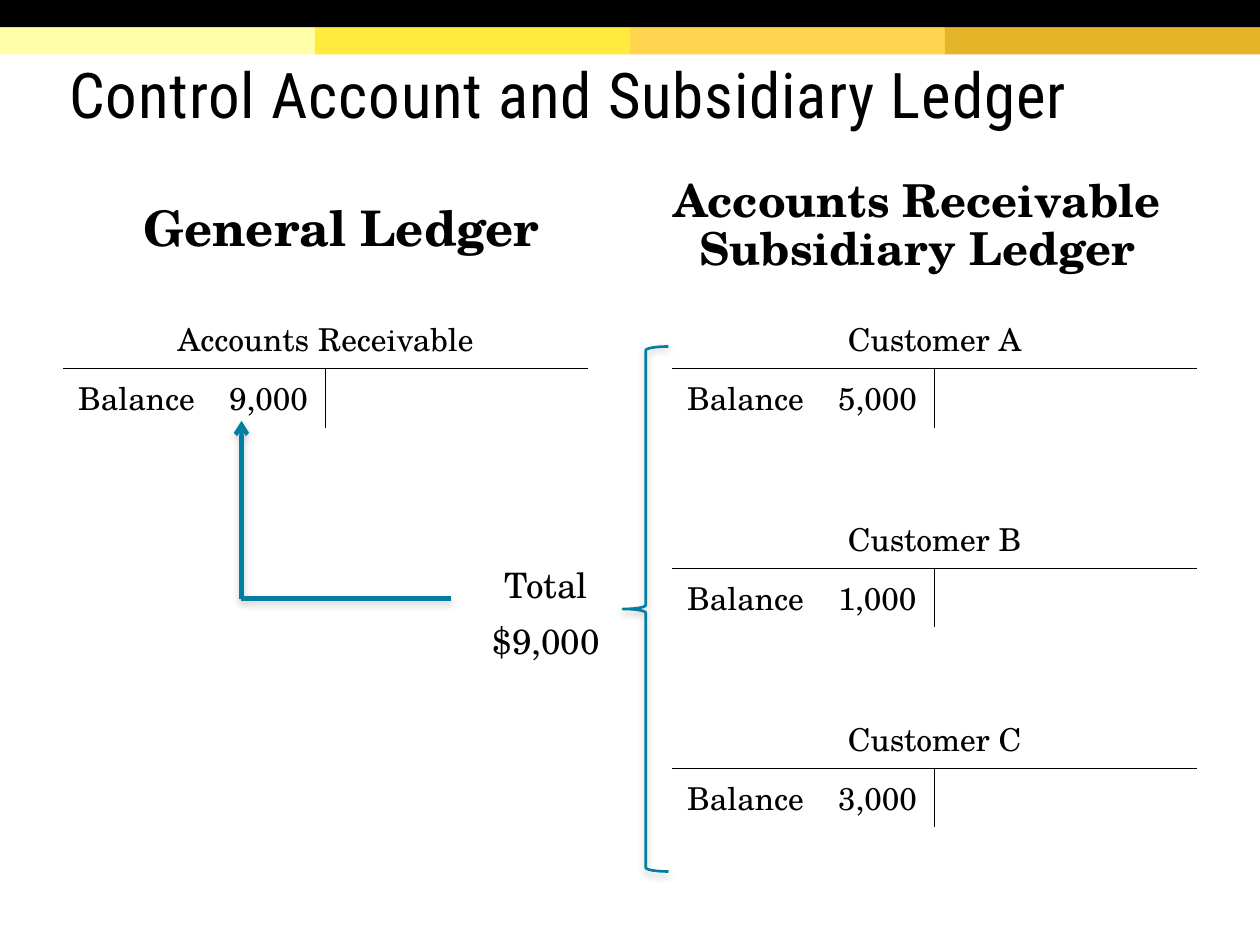
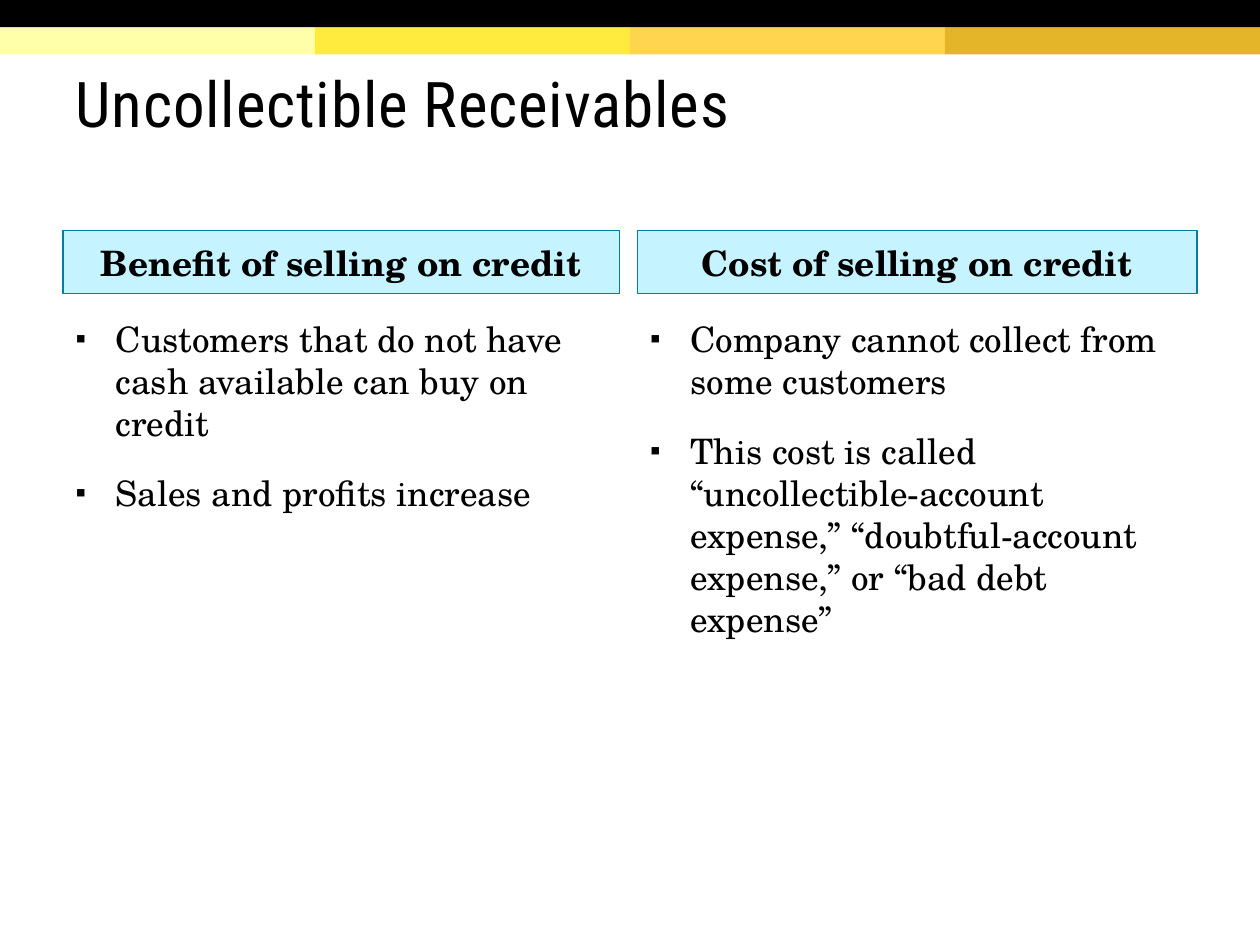
import pptx
import pptx.util
import pptx.dml.color
import pptx.enum.shapes
import pptx.enum.text
import pptx.oxml
import pptx.oxml.ns
from dataclasses import dataclass

Pt = pptx.util.Pt
ALIGN = pptx.enum.text.PP_ALIGN
ANCHOR = pptx.enum.text.MSO_ANCHOR
SHAPE = pptx.enum.shapes.MSO_SHAPE

LEDGER_TITLE = "Control Account and Subsidiary Ledger"
GENERAL_HEADING = "General Ledger"
SUBSIDIARY_HEADING = "Accounts Receivable Subsidiary Ledger"
CONTROL_ACCOUNT = ("Accounts Receivable", "9,000")
CUSTOMERS = [("Customer A", "5,000"), ("Customer B", "1,000"), ("Customer C", "3,000")]
TOTAL = ["Total", "$9,000"]

CREDIT_TITLE = "Uncollectible Receivables"
CREDIT_COLUMNS = [
    ("Benefit of selling on credit", [
        "Customers that do not have cash available can buy on credit",
        "Sales and profits increase",
    ]),
    ("Cost of selling on credit", [
        "Company cannot collect from some customers",
        "This cost is called “uncollectible-account expense,” “doubtful-account expense,” "
        "or “bad debt expense”",
    ]),
]


@dataclass(frozen=True)
class Theme:
    title_font: str = "Roboto Condensed"
    body_font: str = "TeX Gyre Schola"
    black: str = "000000"
    accent: str = "007FA3"
    pale: str = "C5F3FF"
    bands: tuple = ("FFFFAA", "FFEA3D", "FFD54F", "E4B429")
    title_size: float = 36
    heading_size: float = 28
    long_heading_size: float = 25.9
    body_size: float = 20
    table_size: float = 18


THEME = Theme()
PAGE_WIDTH, PAGE_HEIGHT = 720, 540
BAND_HEIGHT = 15.6
COLUMNS = [(36, 318.2), (364.3, 319.7)]
ACCOUNT_COLUMNS = (149.6, 150.6)
ACCOUNT_ROW = 33.5
ACCOUNT_TOP, ACCOUNT_STEP = 177, 114.1
CONTROL_LEFT, CUSTOMER_LEFT = 36, 384
AMOUNT_TAB = 86.3


def color(value):
    return pptx.dml.color.RGBColor.from_string(value)


def add_xml(parent, markup, index=None):
    root, rest = markup.split(" ", 1) if " " in markup.split(">")[0] else markup.split(">", 1)
    namespace = pptx.oxml.ns.nsdecls("a")
    joint = " " if " " in markup.split(">")[0] else ">"
    element = pptx.oxml.parse_xml(f"{root} {namespace}{joint}{rest}")
    parent.insert(len(parent) if index is None else index, element)


def place(shape, left, top, width, height):
    shape.left, shape.top, shape.width, shape.height = Pt(left), Pt(top), Pt(width), Pt(height)


def style_runs(para, size, font=THEME.body_font, bold=False):
    for span in para.runs:
        span.font.name = font
        span.font.size = Pt(size)
        span.font.bold = bold
        span.font.color.rgb = color(THEME.black)


def write_lines(box, lines, size, align=ALIGN.CENTER, anchor=ANCHOR.TOP, before=0, after=8,
                spacing=1.0, font=THEME.body_font, bold=False, bullet=False):
    frame = box.text_frame
    frame.text = "\n".join(lines)
    frame.word_wrap = True
    frame.auto_size = pptx.enum.text.MSO_AUTO_SIZE.NONE
    frame.vertical_anchor = anchor
    for number, para in enumerate(frame.paragraphs):
        para.alignment = align
        para.line_spacing = spacing
        para.space_before = Pt(before if number else 0)
        para.space_after = Pt(after)
        properties = para._p.get_or_add_pPr()
        indent = Pt(23) if bullet else 0
        properties.set("marL", str(indent))
        properties.set("indent", str(-indent))
        if bullet:
            add_xml(properties, f'<a:buClr><a:srgbClr val="{THEME.black}"/></a:buClr>')
            add_xml(properties, '<a:buSzPct val="85000"/>')
            add_xml(properties, '<a:buChar char="▪"/>')
        else:
            add_xml(properties, "<a:buNone />")
        style_runs(para, size, font, bold)


def add_bands(deck, page):
    width = PAGE_WIDTH / len(THEME.bands)
    bands = [(number * width, BAND_HEIGHT, width, fill) for number, fill in enumerate(THEME.bands)]
    bands.append((0, 0, PAGE_WIDTH, THEME.black))
    for number, (left, top, span, fill) in enumerate(bands):
        band = page.shapes.add_shape(SHAPE.RECTANGLE, Pt(left), Pt(top), Pt(span), Pt(BAND_HEIGHT))
        band.shadow.inherit = False
        band.fill.solid()
        band.fill.fore_color.rgb = color(fill)
        band.line.fill.background()
        band.element.xpath("p:nvSpPr/p:cNvPr")[0].set("id", str(100 + number))
        deck.slide_master.shapes.element.append(band.element)


def add_page(deck, title, top, height, left=36):
    page = deck.slides.add_slide(deck.slide_layouts.get_by_name("Comparison"))
    box = page.shapes.title
    place(box, left, top, 648, height)
    write_lines(box, [title], THEME.title_size, ALIGN.LEFT, ANCHOR.MIDDLE, after=0,
                spacing=0.85, font=THEME.title_font)
    box.text_frame.margin_top = Pt(7.2)
    for span in box.text_frame.paragraphs[0].runs:
        span._r.get_or_add_rPr().set("spc", "50")
    return page


def placeholder(page, number):
    return next(box for box in page.placeholders if box.placeholder_format.idx == number)


def set_borders(cell, visible):
    cell.fill.background()
    properties = cell._tc.get_or_add_tcPr()
    for index, side in enumerate("LRTB"):
        paint = (f'<a:solidFill><a:srgbClr val="{THEME.black}"/></a:solidFill>'
                 if side in visible else "<a:noFill/>")
        add_xml(properties, f'<a:ln{side} w="{Pt(0.25)}">{paint}</a:ln{side}>', index)


def add_account(page, left, top, account):
    name, amount = account
    frame = page.shapes.add_table(2, 2, Pt(left), Pt(top), Pt(sum(ACCOUNT_COLUMNS)), Pt(2 * ACCOUNT_ROW))
    table = frame.table
    table.first_row = table.horz_banding = False
    for column, width in zip(table.columns, ACCOUNT_COLUMNS):
        column.width = Pt(width)
    for row in table.rows:
        row.height = Pt(ACCOUNT_ROW)
    for row, column, sides in [(0, 0, "B"), (0, 1, "B"), (1, 0, "TR"), (1, 1, "TL")]:
        set_borders(table.cell(row, column), sides)
    header, balance = table.cell(0, 0), table.cell(1, 0)
    header.merge(table.cell(0, 1))
    header.text_frame.text = name
    header.text_frame.paragraphs[0].alignment = ALIGN.CENTER
    balance.text_frame.text = f"Balance\t{amount}"
    balance.margin_left, balance.margin_right = Pt(8.7), 0
    para = balance.text_frame.paragraphs[0]
    para.alignment = ALIGN.LEFT
    add_xml(para._p.get_or_add_pPr(),
            f'<a:tabLst><a:tab pos="{Pt(AMOUNT_TAB)}" algn="l"/></a:tabLst>')
    for cell in (header, balance):
        cell.vertical_anchor = ANCHOR.MIDDLE
        style_runs(cell.text_frame.paragraphs[0], THEME.table_size)


def style_line(shape, width):
    shape.line.color.rgb = color(THEME.accent)
    shape.line.width = Pt(width)
    add_xml(shape.element.spPr,
            f'<a:effectLst><a:outerShdw blurRad="{Pt(4)}" dist="{Pt(2)}" dir="5400000" rotWithShape="0">'
            '<a:srgbClr val="808080"><a:alpha val="40000"/></a:srgbClr></a:outerShdw></a:effectLst>')


def add_line(page, start, end):
    line = page.shapes.add_connector(pptx.enum.shapes.MSO_CONNECTOR.STRAIGHT,
                                     *(Pt(value) for value in start + end))
    style_line(line, 2.5)
    return line


def build_ledger_page(deck):
    page = add_page(deck, LEDGER_TITLE, 30.2, 49.7, left=32.4)
    add_bands(deck, page)
    headings = [(1, GENERAL_HEADING, THEME.heading_size, 1.0),
                (3, SUBSIDIARY_HEADING, THEME.long_heading_size, 0.9)]
    for (number, text, size, spacing), (left, width) in zip(headings, COLUMNS):
        box = placeholder(page, number)
        place(box, left, 97.2, width, 64.8)
        write_lines(box, [text], size, anchor=ANCHOR.MIDDLE, spacing=spacing, bold=True)

    add_account(page, CONTROL_LEFT, ACCOUNT_TOP, CONTROL_ACCOUNT)
    for number, customer in enumerate(CUSTOMERS):
        add_account(page, CUSTOMER_LEFT, ACCOUNT_TOP + number * ACCOUNT_STEP, customer)

    brace = page.shapes.add_shape(SHAPE.LEFT_BRACE, Pt(356), Pt(198), Pt(26), Pt(300))
    brace.adjustments[0], brace.adjustments[1] = 0.083, 0.5
    brace.fill.background()
    style_line(brace, 1.5)

    total = placeholder(page, 2)
    place(total, 270, 318.2, 84.2, 77)
    write_lines(total, TOTAL, THEME.body_size)
    unused = placeholder(page, 4).element
    unused.getparent().remove(unused)

    corner = (138, 342)
    add_line(page, corner, (257.8, 342))
    arrow = add_line(page, corner, (138, 240.5))
    add_xml(arrow.line._get_or_add_ln(), '<a:tailEnd type="arrow"/>')


def build_credit_page(deck):
    page = add_page(deck, CREDIT_TITLE, 16.6, 86.4)
    for number, ((heading, points), (left, width)) in enumerate(zip(CREDIT_COLUMNS, COLUMNS)):
        box = placeholder(page, 2 * number + 1)
        place(box, left, 131.8, width, 36)
        box.fill.solid()
        box.fill.fore_color.rgb = color(THEME.pale)
        box.line.color.rgb = color(THEME.accent)
        box.line.width = Pt(0.75)
        write_lines(box, [heading], THEME.body_size, anchor=ANCHOR.MIDDLE, bold=True)
        body = placeholder(page, 2 * number + 2)
        place(body, left, 177.8, width, 290)
        write_lines(body, points, THEME.body_size, ALIGN.LEFT, before=8, bullet=True)


def main():
    deck = pptx.Presentation()
    deck.slide_width, deck.slide_height = Pt(PAGE_WIDTH), Pt(PAGE_HEIGHT)
    build_ledger_page(deck)
    build_credit_page(deck)
    deck.save("out.pptx")


if __name__ == "__main__":
    main()
